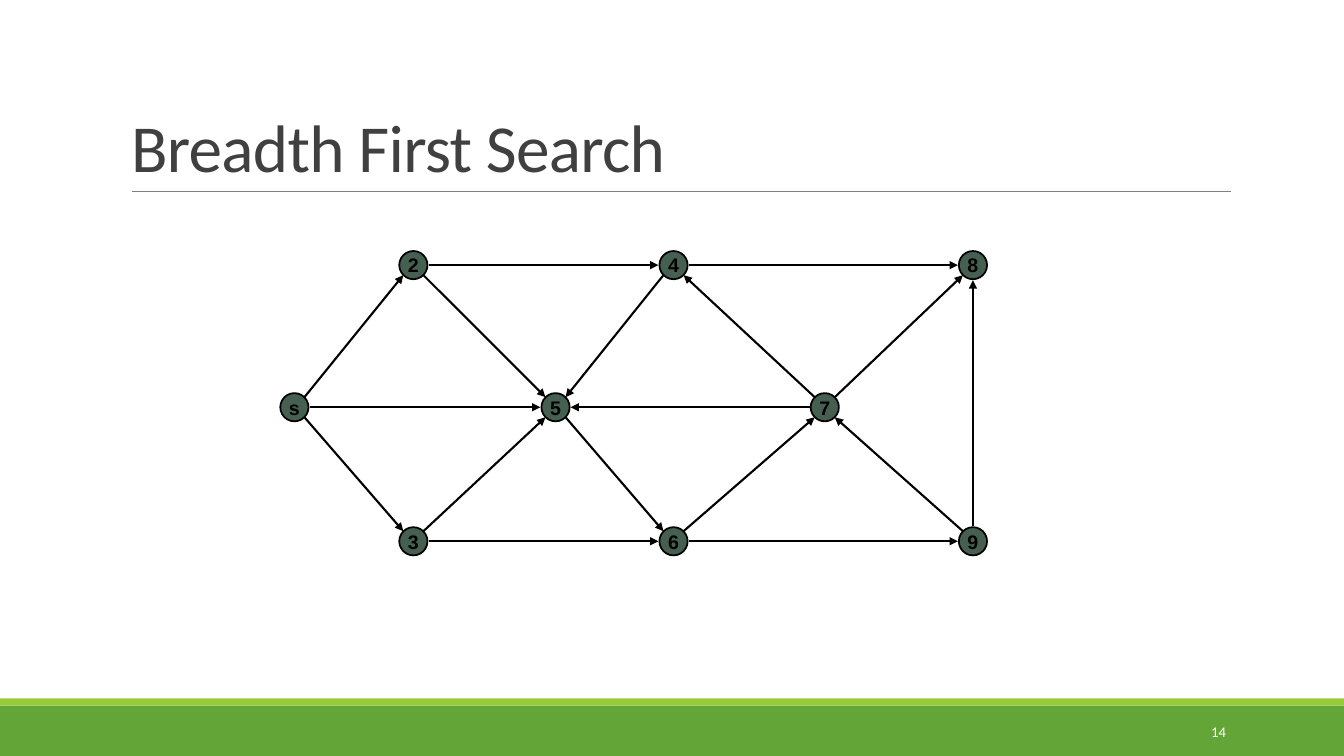
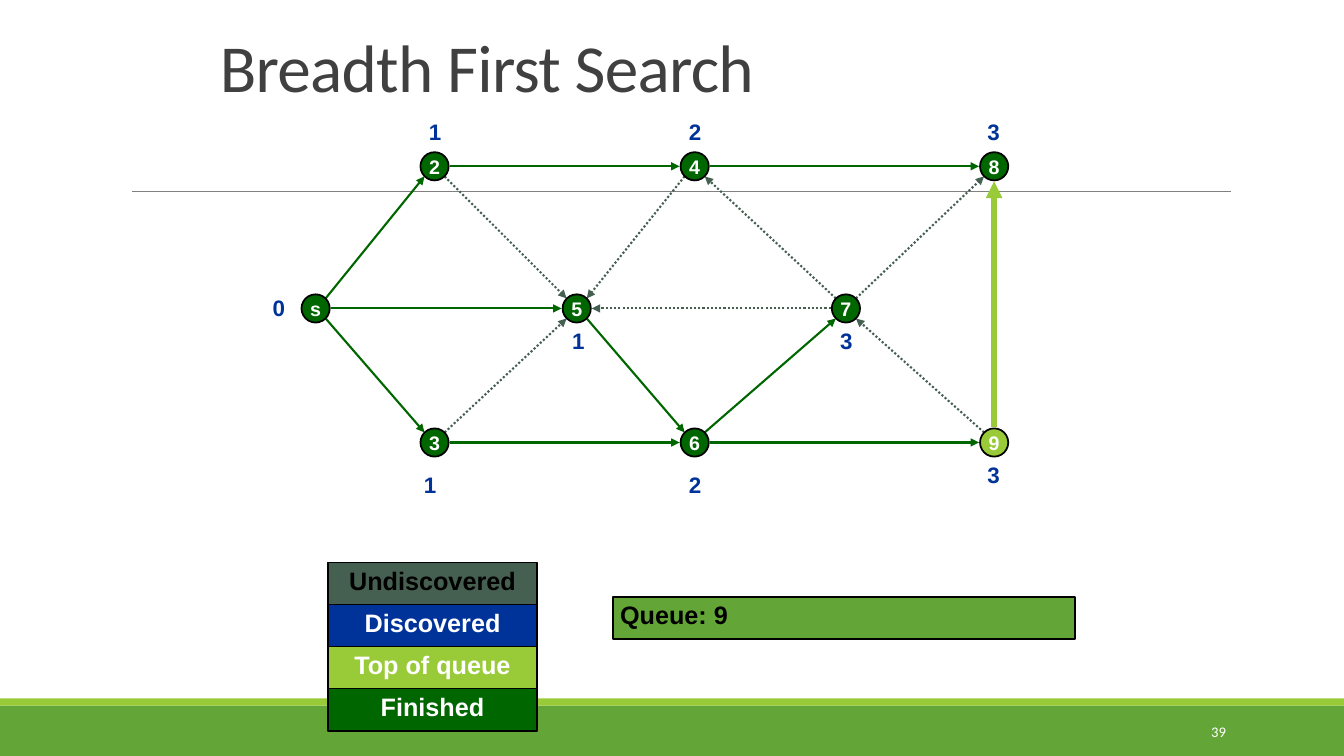
from pptx import Presentation
from pptx.dml.color import RGBColor
from pptx.enum.dml import MSO_LINE as Dash
from pptx.enum.shapes import MSO_CONNECTOR as Link, MSO_SHAPE as Form
from pptx.enum.text import MSO_ANCHOR as Anchor, MSO_AUTO_SIZE as Fit, PP_ALIGN as Align
from pptx.oxml.ns import qn
from pptx.util import Inches, Pt
from lxml.etree import SubElement

rgb = RGBColor.from_string
BLACK, WHITE, GRAY, INK = "000000", "FFFFFF", "808080", "404040"
SLATE, BLUE, DARK = "455F51", "003399", "006600"
GREEN, LIME = "63A537", "99CB38"


def box(slide, form, area, fill=None, edge=None, text="", size=18, color=BLACK,
        font="Arial", bold=True, align=Align.CENTER, anchor=Anchor.TOP,
        left=0, top=0, wrap=True):
    area = [Inches(n) for n in area]
    if form is None:
        shape = slide.shapes.add_textbox(*area)
    else:
        shape = slide.shapes.add_shape(form, *area)
        shape.shadow.inherit = False
        shape.fill.solid()
        shape.fill.fore_color.rgb = rgb(fill)
        if edge:
            shape.line.color.rgb = rgb(edge)
            shape.line.width = Pt(1.25)
        else:
            shape.line.fill.background()
    if text:
        frame = shape.text_frame
        frame.word_wrap = wrap
        frame.vertical_anchor = anchor
        frame.margin_left, frame.margin_top = Inches(left), Inches(top)
        frame.margin_right = frame.margin_bottom = 0
        para = frame.paragraphs[0]
        para.alignment = align
        run = para.add_run()
        run.text = text
        run.font.name, run.font.size, run.font.bold = font, Pt(size), bold
        run.font.color.rgb = rgb(color)


def rule(slide, start, end, color, width, dash=None, arrow=True):
    line = slide.shapes.add_connector(Link.STRAIGHT, *[Inches(n) for n in (*start, *end)])
    line.line.color.rgb = rgb(color)
    line.line.width = Pt(width)
    if dash:
        line.line.dash_style = dash
    if arrow:
        SubElement(line.line._get_or_add_ln(), qn("a:tailEnd"), type="triangle")
    SubElement(line._element.spPr, qn("a:effectLst"))


SIZE = 0.28
NODES = {
    "s": (2.92, 4.04), "2": (4.1, 2.63), "3": (4.1, 5.37),
    "4": (6.68, 2.63), "5": (5.51, 4.04), "6": (6.68, 5.37),
    "7": (8.18, 4.04), "8": (9.65, 2.63), "9": (9.65, 5.37),
}
TREE = ["s2", "s5", "s3", "24", "48", "36", "56", "67", "69"]
REST = ["25", "45", "74", "75", "78", "35", "97"]
LAST = "98"

deck = Presentation()
deck.slide_width, deck.slide_height = Inches(13.33), Inches(7.5)

VIEWS = [
    ("14", (1.2, 0.31, 11, 1.59), 0, 0, False),
    ("39", (2.08, 0.17, 8.25, 0.93), 0.21, -0.98, True),
]

for page, area, right, down, done in VIEWS:
    slide = deck.slides.add_slide(deck.slide_layouts[5])
    box(slide, Form.RECTANGLE, (0, 7, 13.33, 0.5), GREEN)
    box(slide, Form.RECTANGLE, (0, 6.93, 13.33, 0.07), LIME)
    rule(slide, (1.31, 1.9), (12.21, 1.9), GRAY, 0.5, arrow=False)

    title = slide.shapes.title
    title.left, title.top, title.width, title.height = [Inches(n) for n in area]
    frame = title.text_frame
    frame.auto_size = Fit.NONE
    frame.word_wrap = True
    frame.vertical_anchor = Anchor.BOTTOM
    para = frame.paragraphs[0]
    para.alignment = Align.LEFT
    para.line_spacing = 0.85
    run = para.add_run()
    run.text = "Breadth First Search"
    run.font.name, run.font.size = "Calibri", Pt(48)
    run.font.color.rgb = rgb(INK)
    run._r.get_or_add_rPr().set("spc", "-50")

    box(slide, None, (10.83, 7.06, 1.33, 0.4), text=page, size=10.5, color=WHITE,
        font="Calibri", bold=False, align=Align.RIGHT, anchor=Anchor.MIDDLE)

    spots = {name: (x + right, y + down) for name, (x, y) in NODES.items()}
    for edge in TREE + REST + [LAST]:
        (x1, y1), (x2, y2) = spots[edge[0]], spots[edge[1]]
        dx, dy = (x2 > x1) - (x2 < x1), (y2 > y1) - (y2 < y1)
        gap = 0.1 if dx and dy else 0.15
        color, width, dash = BLACK, 1.5, None
        if done and edge in TREE:
            color = DARK
        elif done and edge in REST:
            color, dash = SLATE, Dash.ROUND_DOT
        elif done:
            color, width = LIME, 4
        rule(slide, (x1 + dx * gap, y1 + dy * gap), (x2 - dx * gap, y2 - dy * gap),
             color, width, dash)

    for name, (x, y) in spots.items():
        fill = SLATE
        if done:
            fill = LIME if name == "9" else DARK
        box(slide, Form.OVAL, (x - SIZE / 2, y - SIZE / 2, SIZE, SIZE), fill, BLACK,
            name, 14, WHITE if done else BLACK, anchor=Anchor.MIDDLE, wrap=False)

LEVELS = [
    ("0", 2.58, 2.92), ("1", 4.13, 1.17), ("1", 4.08, 4.67), ("1", 5.55, 3.25),
    ("2", 6.71, 1.17), ("2", 6.71, 4.67), ("3", 9.67, 1.17), ("3", 8.21, 3.25),
    ("3", 9.67, 4.58),
]
for level, x, y in LEVELS:
    box(slide, None, (x, y, 0.37, 0.27), text=level, size=16, color=BLUE)

STATES = [
    ("Undiscovered", SLATE, BLACK), ("Discovered", BLUE, WHITE),
    ("Top of queue", LIME, WHITE), ("Finished", DARK, WHITE),
]
for i, (state, fill, color) in enumerate(STATES):
    box(slide, Form.RECTANGLE, (3.25, 5.58 + i * 1.25 / 3, 2.08, 0.42), fill, BLACK,
        state, color=color, top=0.03)

box(slide, Form.RECTANGLE, (6.08, 5.92, 4.58, 0.42), GREEN, BLACK, "Queue: 9",
    align=Align.LEFT, left=0.07, top=0.03)

deck.save("out.pptx")
